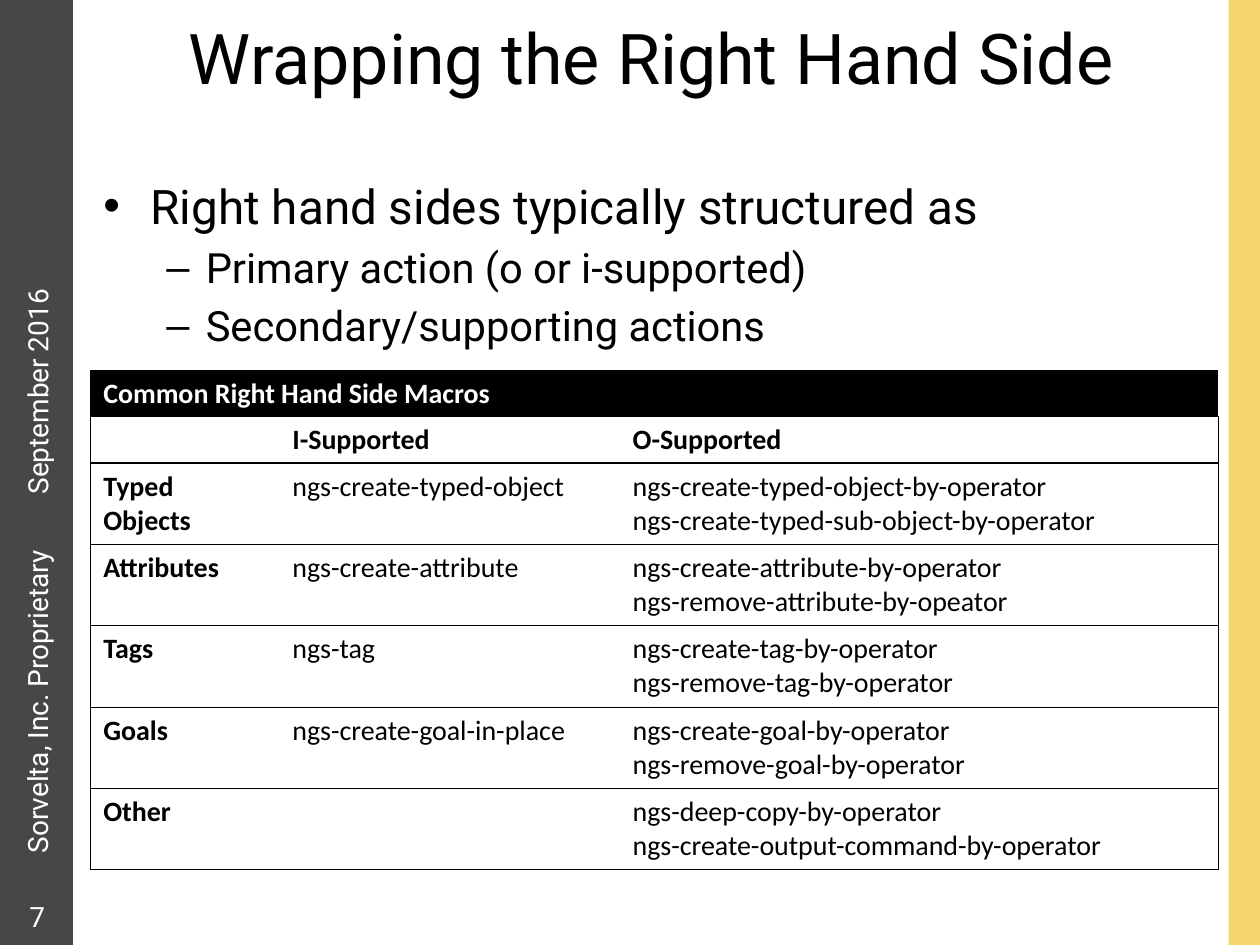
"""Build the slide on wrapping the right hand side, with its table of macros."""
import pptx
import pptx.dml.color
import pptx.enum.shapes
import pptx.enum.text
import pptx.oxml
import pptx.oxml.ns
import pptx.util

Cm = pptx.util.Cm
Pt = pptx.util.Pt
COLORS = {"bar": "464847", "stripe": "F4D66C", "dark": "000000", "light": "FFFFFF"}


def add_span(para, text, size, color, font="Roboto", bold=False):
    span = para.add_run()
    span.text = text
    span.font.name = font
    span.font.size = Pt(size)
    span.font.bold = bold
    span.font.color.rgb = pptx.dml.color.RGBColor.from_string(COLORS[color])


def add_border(cell, side, visible):
    namespace = pptx.oxml.ns.nsdecls("a")
    paint = "<a:noFill/>"
    if visible:
        paint = f'<a:solidFill><a:srgbClr val="{COLORS["dark"]}"/></a:solidFill>'
    border = f'<a:ln{side} {namespace} w="{Pt(0.75)}">{paint}</a:ln{side}>'
    cell._tc.get_or_add_tcPr().append(pptx.oxml.parse_xml(border))


deck = pptx.Presentation()
deck.slide_width, deck.slide_height = Cm(25.4), Cm(19.05)
page = deck.slides.add_slide(deck.slide_layouts[1])

for left, width, color in [(0, 1.47, "bar"), (24.77, 0.63, "stripe")]:
    band = page.shapes.add_shape(
        pptx.enum.shapes.MSO_SHAPE.RECTANGLE, Cm(left), 0, Cm(width), deck.slide_height)
    band.shadow.inherit = False
    band.fill.solid()
    band.fill.fore_color.rgb = pptx.dml.color.RGBColor.from_string(COLORS[color])
    band.line.fill.background()

side_notes = [
    ("September 2016", -1.57, 7.42, 4.65, 270, False, "LEFT"),
    ("Sorvelta, Inc. Proprietary", -2.77, 13.46, 7.04, 270, True, "LEFT"),
    ("7", 0.13, 18.01, 1.24, 0, True, "CENTER"),
]
for text, left, top, width, rotation, wrap, align in side_notes:
    box = page.shapes.add_textbox(Cm(left), Cm(top), Cm(width), Cm(0.94))
    box.rotation = rotation
    box.text_frame.word_wrap = wrap
    para = box.text_frame.paragraphs[0]
    para.alignment = pptx.enum.text.PP_ALIGN[align]
    add_span(para, text, 16, "light")

title, body = page.shapes.title, page.placeholders[1]
for holder, top, height in [(title, 0.05, 2.18), (body, 3.43, 3.45)]:
    holder.left = Cm(1.7 if holder is title else 1.83)
    holder.top, holder.width, holder.height = Cm(top), Cm(22.86), Cm(height)
    holder.text_frame.auto_size = pptx.enum.text.MSO_AUTO_SIZE.NONE
add_span(title.text_frame.paragraphs[0], "Wrapping the Right Hand Side", 40, "dark")

points = [
    (0, "Right hand sides typically structured as", 27.2),
    (1, "Primary action (o or i-supported)", 23.8),
    (1, "Secondary/supporting actions", 23.8),
]
for index, (level, text, size) in enumerate(points):
    frame = body.text_frame
    para = frame.add_paragraph() if index else frame.paragraphs[0]
    para.level = level
    add_span(para, text, size, "dark")

macros = [
    ("Common Right Hand Side Macros", "", ""),
    ("", "I-Supported", "O-Supported"),
    ("Typed Objects", "ngs-create-typed-object",
     "ngs-create-typed-object-by-operator\nngs-create-typed-sub-object-by-operator"),
    ("Attributes", "ngs-create-attribute",
     "ngs-create-attribute-by-operator\nngs-remove-attribute-by-opeator"),
    ("Tags", "ngs-tag", "ngs-create-tag-by-operator\nngs-remove-tag-by-operator"),
    ("Goals", "ngs-create-goal-in-place",
     "ngs-create-goal-by-operator\nngs-remove-goal-by-operator"),
    ("Other", "", "ngs-deep-copy-by-operator\nngs-create-output-command-by-operator"),
]
table = page.shapes.add_table(
    len(macros), 3, Cm(1.83), Cm(7.47), Cm(22.73), Cm(10.06)).table
for column, width in zip(table.columns, [3.81, 6.86, 12.06]):
    column.width = Cm(width)
table.cell(0, 0).merge(table.cell(0, 2))

for row, texts in enumerate(macros):
    table.rows[row].height = Cm(0.93 if row < 2 else 1.64)
    for column, text in enumerate(texts):
        cell = table.cell(row, column)
        for side, visible in [("L", column == 0), ("R", column == 2), ("T", True), ("B", True)]:
            add_border(cell, side, visible)
        cell.fill.solid()
        cell.fill.fore_color.rgb = pptx.dml.color.RGBColor.from_string(
            COLORS["light" if row else "dark"])
        cell.text_frame.paragraphs[0].font.size = Pt(16)
        for index, line in enumerate(text.split("\n") if text else []):
            frame = cell.text_frame
            para = frame.add_paragraph() if index else frame.paragraphs[0]
            add_span(para, line, 16, "dark" if row else "light", "Calibri",
                     row < 2 or column == 0)

deck.save("out.pptx")
